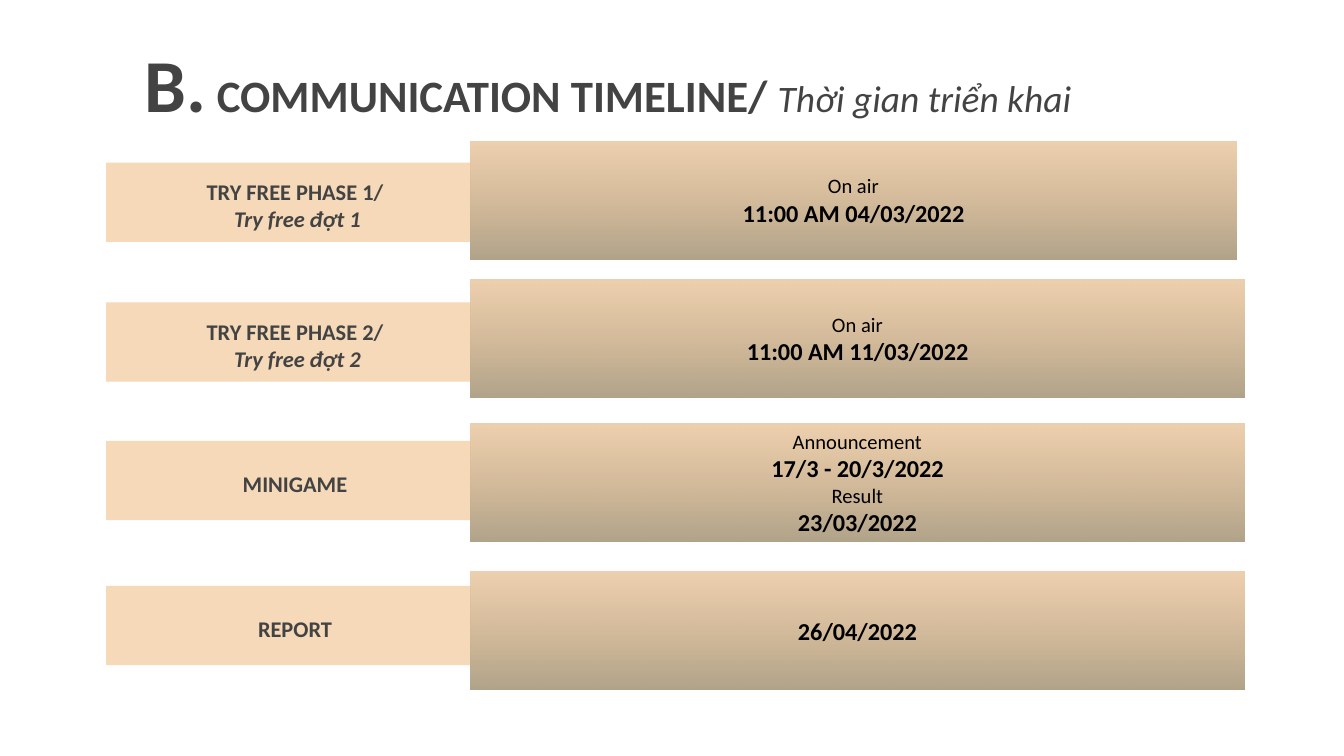
from lxml import etree
from pptx import Presentation
from pptx.dml.color import RGBColor
from pptx.enum.shapes import MSO_SHAPE
from pptx.enum.text import MSO_ANCHOR, PP_ALIGN
from pptx.oxml.ns import qn
from pptx.util import Inches, Pt

RECTANGLE = MSO_SHAPE.RECTANGLE
MIDDLE, TOP = MSO_ANCHOR.MIDDLE, MSO_ANCHOR.TOP
CENTER = PP_ALIGN.CENTER

# Grid of square cells: 100 columns across the slide
CELL = Inches(0.1)
COLUMNS, ROWS = 100, 56.25

FONT = "Calibri"
GREY, BLACK = "434343", "000000"
PEACH, TAN, KHAKI = "EFC28D", "E1B37E", "B1A389"
OPACITY = 62

# Timeline columns
BAR_LEFT, BAR_WIDTH, BAR_HEIGHT = 7.9, 27.1, 5.9
LABEL_WIDTH, LABEL_HEIGHT, LABEL_DROP = 28.1, 4.5, 0.9
CARD_LEFT, CARD_HEIGHT = 35, 8.8

# Text styles: size, bold, italic
LABEL, LABEL_ITALIC = (12, True, False), (12, True, True)
CAPTION, DATE = (11, False, False), (13, True, False)

# Bar top, card top, card width, label lines, card lines
PHASES = [
    (12.1, 10.5, 57, [("TRY FREE PHASE 1/", LABEL), (" Try free đợt 1", LABEL_ITALIC)],
     [("On air", CAPTION), ("11:00 AM 04/03/2022", DATE)]),
    (22.5, 20.8, 57.6, [("TRY FREE PHASE 2/", LABEL), (" Try free đợt 2", LABEL_ITALIC)],
     [("On air", CAPTION), ("11:00 AM 11/03/2022", DATE)]),
    (32.8, 31.5, 57.6, [("MINIGAME", LABEL)],
     [("Announcement", CAPTION), ("17/3 - 20/3/2022", DATE),
      ("Result", CAPTION), ("23/03/2022", DATE)]),
    (43.6, 42.5, 57.6, [("REPORT", LABEL)], [("26/04/2022", DATE)]),
]

TITLE = [
    ("B.", (40, True, False)),
    (" COMMUNICATION TIMELINE/ ", (24, True, False)),
    ("Thời gian triển khai", (20, False, True)),
]


def rgb(value):
    return RGBColor.from_string(value)


def cells(*box):
    return [round(length * CELL) for length in box]


def style_run(run, style, color):
    size, bold, italic = style
    run.font.name = FONT
    run.font.size = Pt(size)
    run.font.bold = bold
    run.font.italic = italic
    run.font.color.rgb = rgb(color)


def prepare_frame(shape, anchor):
    frame = shape.text_frame
    frame.word_wrap = True
    frame.vertical_anchor = anchor
    frame.margin_left = frame.margin_right = CELL
    frame.margin_top = frame.margin_bottom = CELL
    return frame


def write_lines(shape, lines, color):
    frame = prepare_frame(shape, MIDDLE)
    frame.text = "\n".join(text for text, _ in lines)
    for paragraph, (_, style) in zip(frame.paragraphs, lines):
        paragraph.alignment = CENTER
        style_run(paragraph.runs[0], style, color)


def add_rectangle(slide, box):
    rectangle = slide.shapes.add_shape(RECTANGLE, *cells(*box))
    rectangle.shadow.inherit = False
    rectangle.line.fill.background()
    return rectangle


def make_translucent(shape):
    """Applies the opacity to the first colour of the fill."""
    color = next(shape._element.spPr.iter(qn("a:srgbClr")))
    etree.SubElement(color, qn("a:alpha"), val=str(OPACITY * 1000))


def add_bar(slide, box):
    bar = add_rectangle(slide, box)
    bar.fill.solid()
    bar.fill.fore_color.rgb = rgb(PEACH)
    make_translucent(bar)


def add_card(slide, box, lines):
    card = add_rectangle(slide, box)
    card.fill.gradient()
    card.fill.gradient_angle = 270
    for stop, color in zip(card.fill.gradient_stops, (TAN, KHAKI)):
        stop.color.rgb = rgb(color)
    make_translucent(card)
    write_lines(card, lines, BLACK)


def add_title(slide, box):
    title = slide.shapes.add_textbox(*cells(*box))
    paragraph = prepare_frame(title, TOP).paragraphs[0]
    for text, style in TITLE:
        run = paragraph.add_run()
        run.text = text
        style_run(run, style, GREY)


def add_phase(slide, bar_top, card_top, card_width, label_lines, card_lines):
    # Bar with its label
    add_bar(slide, (BAR_LEFT, bar_top, BAR_WIDTH, BAR_HEIGHT))
    label = slide.shapes.add_textbox(
        *cells(BAR_LEFT, bar_top + LABEL_DROP, LABEL_WIDTH, LABEL_HEIGHT))
    write_lines(label, label_lines, GREY)
    # Card with the dates
    add_card(slide, (CARD_LEFT, card_top, card_width, CARD_HEIGHT), card_lines)


def main():
    deck = Presentation()
    deck.slide_width, deck.slide_height = cells(COLUMNS, ROWS)
    slide = deck.slides.add_slide(deck.slide_layouts[6])
    add_title(slide, (9.8, 1.8, 82.8, 8.8))
    for phase in PHASES:
        add_phase(slide, *phase)
    deck.save("out.pptx")


if __name__ == "__main__":
    main()
